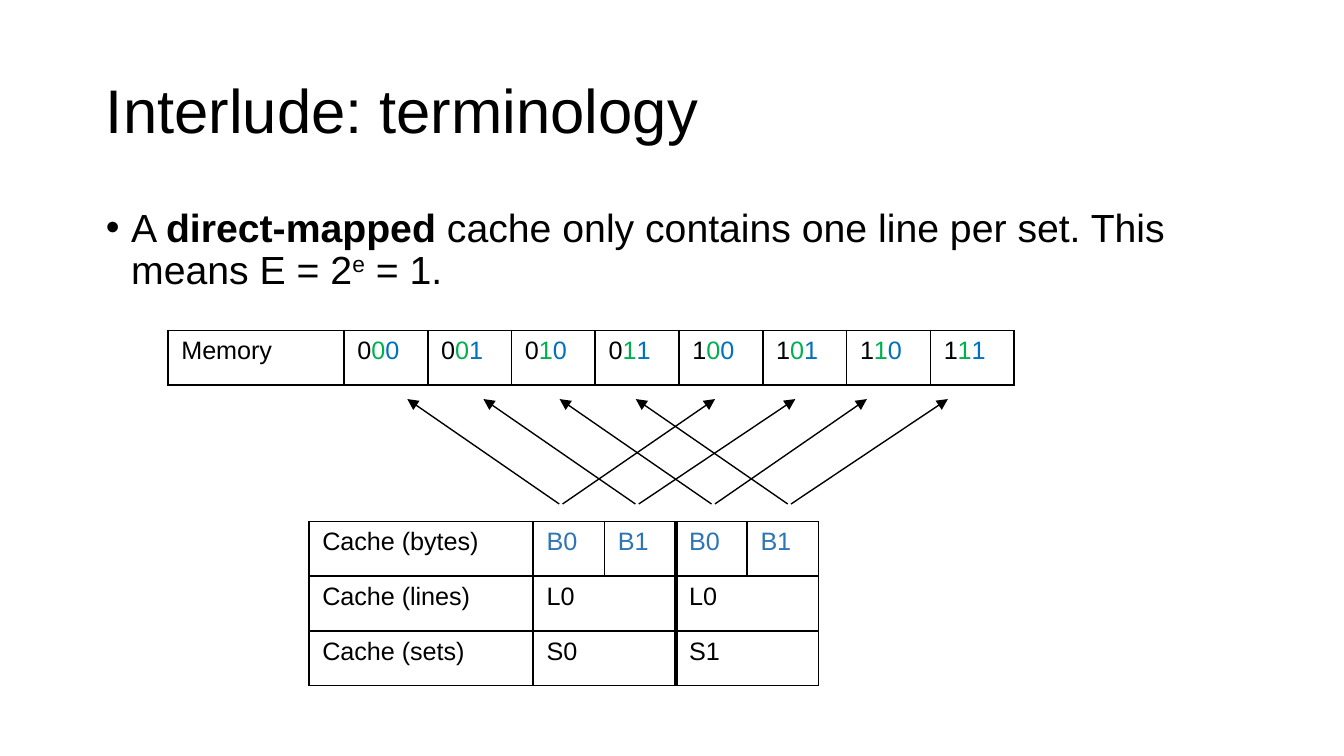
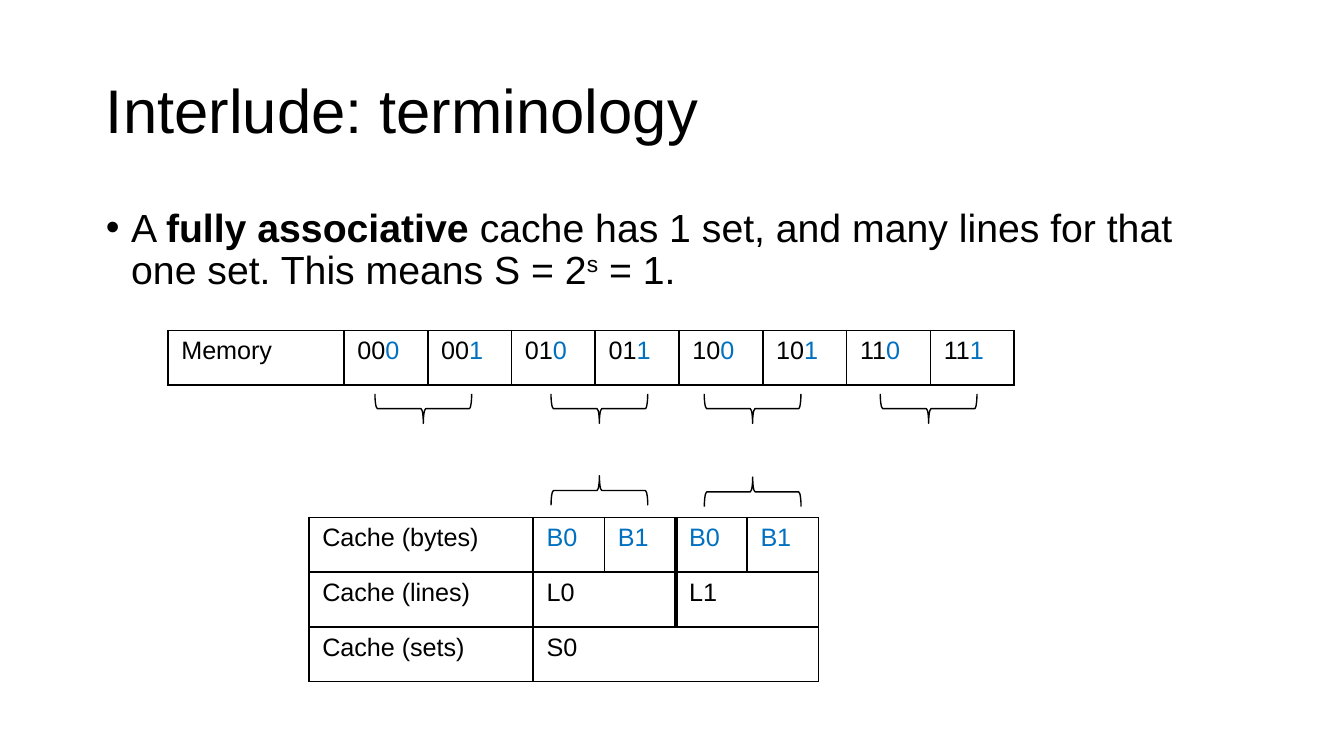
from lxml import etree
from pptx import Presentation
from pptx.dml.color import RGBColor
from pptx.enum import shapes, text
from pptx.oxml.ns import qn
from pptx.util import Pt

BLACK = RGBColor(0, 0, 0)
GREEN = RGBColor(0, 0xB0, 0x50)
BLUE = RGBColor(0, 0x70, 0xC0)
STEEL = RGBColor(0x2E, 0x75, 0xB6)
FONT = "Arial"

TITLE = "Interlude: terminology"
BYTES = [("Cache (bytes)", 1), ("B0", 1), ("B1", 1), ("B0", 1), ("B1", 1)]
DIRECT = {
    "body": [("A ", {}), ("direct-mapped", {"bold": True}),
             (" cache only contains one line per set. This means E = 2", {}),
             ("e", {"sup": True}), (" = 1.", {})],
    "bits": (BLACK, GREEN, BLUE),
    "byte": STEEL,
    "top": 279.4,
    "cache": [BYTES,
              [("Cache (lines)", 1), ("L0", 2), ("L0", 2)],
              [("Cache (sets)", 1), ("S0", 2), ("S1", 2)]],
}
FULL = {
    "body": [("A ", {}), ("fully associative", {"bold": True}),
             (" cache has 1 set, and many lines for that one set. This means S = 2", {}),
             ("s", {"sup": True}), (" = 1.", {})],
    "bits": (BLACK, BLACK, BLUE),
    "byte": BLUE,
    "top": 277.2,
    "cache": [BYTES,
              [("Cache (lines)", 1), ("L0", 2), ("L1", 2)],
              [("Cache (sets)", 1), ("S0", 4)]],
}

LEFT, WIDE = 49.7, 620.6
ROW, THIN, THICK = 29.3, 0.96, 2.21
MEM_LEFT, MEM_TOP, MEM_COLS = 90, 177.1, [94.3] + [44.9] * 8
CACHE_LEFT, CACHE_COLS = 165.5, [120.2] + [38.2] * 4
SPLIT = 3  # cache column that begins the second line
ARROW_TOP, ARROW_BASE, STEP = 213.8, 270, 40.8
LOW_TIPS, HIGH_TIPS = 218.2, (383.1, 426.1, 464.4, 507.8)
LOW_BASE, HIGH_BASE = 299.6, 301.4
BRACE_W, BRACE_H = 15.8, 51.8
MEM_BRACES = (226.8, 321.1, 403.2, 497.5)
CACHE_BRACES = ((321.1, 262.8), (403.2, 263.5))


def write(frame, runs, size=13.5, color=BLACK, spacing=None, bullet=False):
    """Fill a frame's only paragraph; runs is a string or (text, format) pairs."""
    para = frame.paragraphs[0]
    if isinstance(runs, str):
        runs = [(runs, {})]
    if spacing:
        para.line_spacing = spacing
    if bullet:
        props = para._p.get_or_add_pPr()
        props.set("marL", str(Pt(13.5)))
        props.set("indent", str(-Pt(13.5)))
        etree.SubElement(props, qn("a:buFont"), typeface=FONT)
        etree.SubElement(props, qn("a:buChar"), char="•")
    for words, form in runs:
        run = para.add_run()
        run.text = words
        run.font.name = FONT
        run.font.size = Pt(size)
        run.font.bold = form.get("bold", False)
        run.font.color.rgb = form.get("color", color)
        if form.get("sup"):
            run.font._element.set("baseline", "30000")


def add_text(slide, top, high, runs, anchor=text.MSO_ANCHOR.TOP, **form):
    frame = slide.shapes.add_textbox(Pt(LEFT), Pt(top), Pt(WIDE), Pt(high)).text_frame
    frame.word_wrap = True
    frame.vertical_anchor = anchor
    write(frame, runs, spacing=0.9, **form)


def add_grid(slide, left, top, cols, rows):
    grid = slide.shapes.add_table(rows, len(cols), Pt(left), Pt(top),
                                  Pt(sum(cols)), Pt(ROW * rows)).table
    grid.first_row = grid.horz_banding = False
    for col, wide in zip(grid.columns, cols):
        col.width = Pt(wide)
    for row in grid.rows:
        row.height = Pt(ROW)
    return grid


def edge(cell, thick=""):
    """Draw the four borders, those sides named in thick being heavy."""
    props = cell._tc.get_or_add_tcPr()
    for side in "LRTB":
        width = THICK if side in thick else THIN
        line = etree.SubElement(props, qn("a:ln" + side), w=str(Pt(width)))
        fill = etree.SubElement(line, qn("a:solidFill"))
        etree.SubElement(fill, qn("a:srgbClr"), val=str(BLACK))
    cell.fill.background()


def add_memory(slide, bits):
    grid = add_grid(slide, MEM_LEFT, MEM_TOP, MEM_COLS, 1)
    write(grid.cell(0, 0).text_frame, "Memory")
    for n in range(8):
        runs = [(d, {"color": c}) for d, c in zip(f"{n:03b}", bits)]
        write(grid.cell(0, n + 1).text_frame, runs)
    for cell in grid.iter_cells():
        edge(cell)


def add_cache(slide, top, rows, byte):
    grid = add_grid(slide, CACHE_LEFT, top, CACHE_COLS, len(rows))
    for r, row in enumerate(rows):
        col = 0
        for words, span in row:
            cell, end = grid.cell(r, col), col + span
            write(cell.text_frame, words, color=byte if r == 0 and col else BLACK)
            thick = "L" if col == SPLIT else "R" if end == SPLIT else ""
            for c in range(col, end):
                edge(grid.cell(r, c), thick)
            if span > 1:
                cell.merge(grid.cell(r, end - 1))
            col = end


def add_arrow(slide, base, tip):
    arrow = slide.shapes.add_connector(shapes.MSO_CONNECTOR.STRAIGHT, Pt(base),
                                       Pt(ARROW_BASE), Pt(tip), Pt(ARROW_TOP))
    arrow.line.color.rgb = BLACK
    arrow.line.width = Pt(0.75)
    etree.SubElement(arrow.line._get_or_add_ln(), qn("a:tailEnd"), type="triangle")
    etree.SubElement(arrow._element.spPr, qn("a:effectLst"))


def add_brace(slide, x, y, turn):
    """Centre a brace on x, y; turn 90 points it up and 270 down."""
    brace = slide.shapes.add_shape(shapes.MSO_SHAPE.LEFT_BRACE, Pt(x - BRACE_W / 2),
                                   Pt(y - BRACE_H / 2), Pt(BRACE_W), Pt(BRACE_H))
    brace.rotation = turn
    brace.adjustments[0] = 0.08
    brace.shadow.inherit = False
    brace.fill.background()
    brace.line.color.rgb = BLACK
    brace.line.width = Pt(0.75)


def add_page(deck, page):
    slide = deck.slides.add_slide(deck.slide_layouts[6])
    add_text(slide, 21.6, 78.5, TITLE, size=33, anchor=text.MSO_ANCHOR.MIDDLE)
    add_text(slide, 108, 257, page["body"], size=21, bullet=True)
    add_memory(slide, page["bits"])
    add_cache(slide, page["top"], page["cache"], page["byte"])
    return slide


def main():
    deck = Presentation()
    deck.slide_width, deck.slide_height = Pt(720), Pt(405)

    direct = add_page(deck, DIRECT)
    for n, high in enumerate(HIGH_TIPS):
        add_arrow(direct, LOW_BASE + STEP * n, LOW_TIPS + STEP * n)
        add_arrow(direct, HIGH_BASE + STEP * n, high)

    full = add_page(deck, FULL)
    for x, y in CACHE_BRACES:
        add_brace(full, x, y, 90)
    for x in MEM_BRACES:
        add_brace(full, x, 218.9, 270)

    deck.save("out.pptx")


if __name__ == "__main__":
    main()
